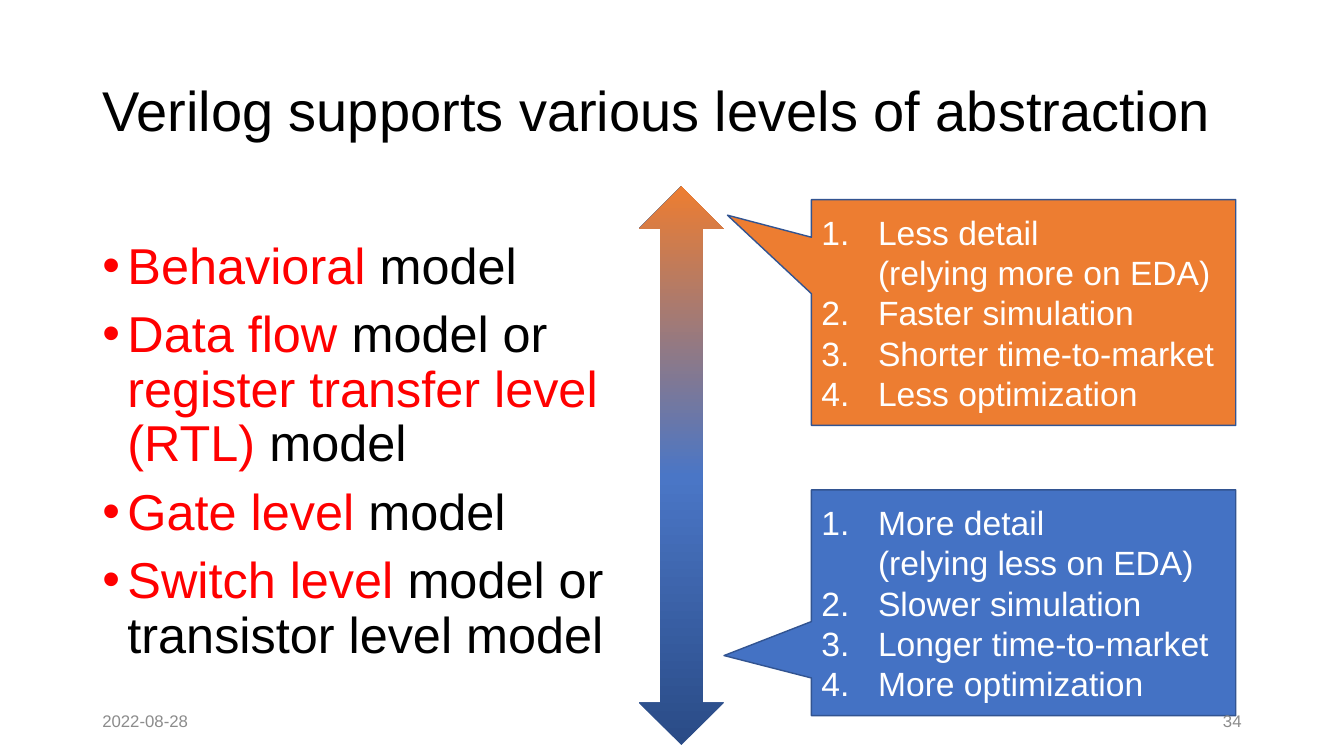
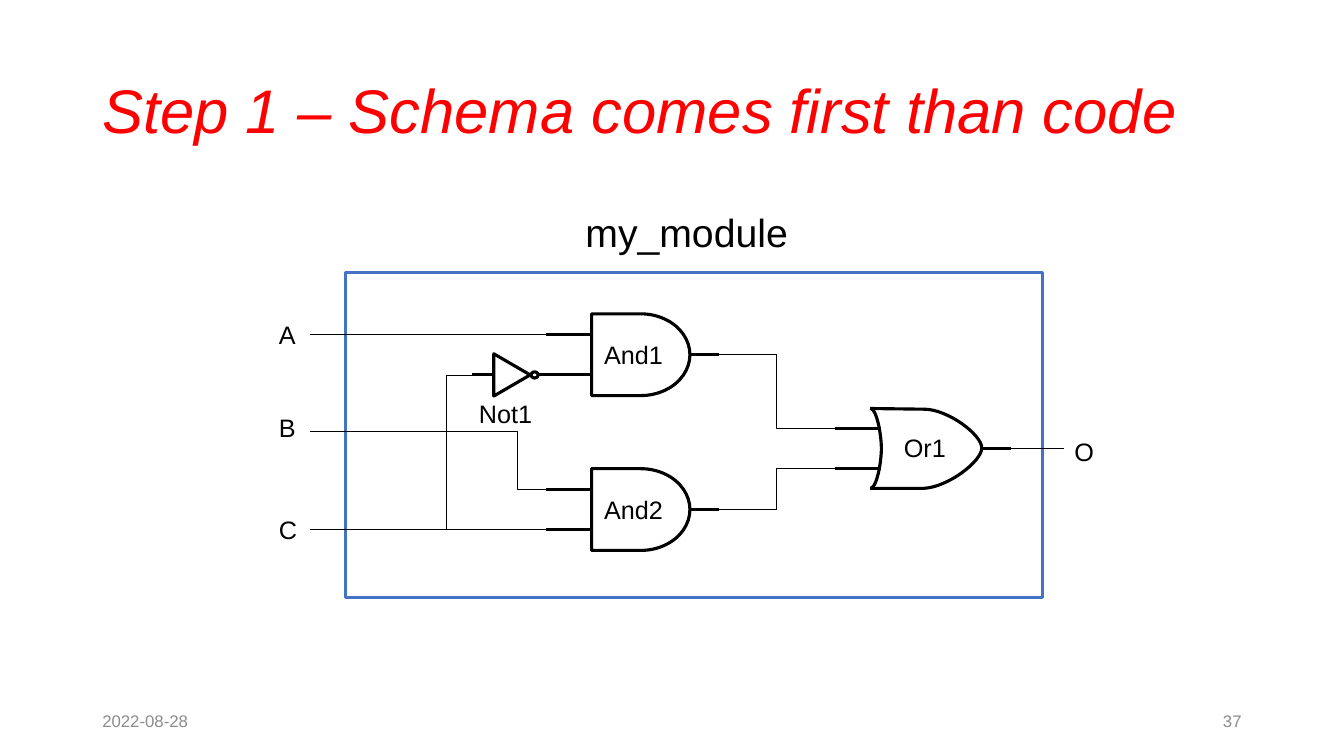
import copy

import lxml.etree
import pptx
import pptx.dml.color
import pptx.enum.shapes
import pptx.enum.text
import pptx.oxml.ns
import pptx.util

Pt = pptx.util.Pt
SHAPE = pptx.enum.shapes.MSO_SHAPE
LINK = pptx.enum.shapes.MSO_CONNECTOR
ALIGN = pptx.enum.text.PP_ALIGN
ANCHOR = pptx.enum.text.MSO_ANCHOR
FIT = pptx.enum.text.MSO_AUTO_SIZE
qn = pptx.oxml.ns.qn

COLOURS = {
    "black": "000000",
    "white": "FFFFFF",
    "red": "FF0000",
    "grey": "8C8C8C",
    "orange": "ED7D31",
    "blue": "4472C4",
    "blue_edge": "325491",
    "blue_mid": "4A76C6",
    "blue_dark": "2A4B86",
}
FONT = "Arial"
DATE = "2022-08-28"
BOLD_LINE, THIN_LINE = 2.25, 0.5


def rgb(name):
    return pptx.dml.color.RGBColor.from_string(COLOURS[name])


def bezier(start, first, second, end, steps=16):
    """Points along a cubic curve, without its start."""
    points = []
    for step in range(1, steps + 1):
        t = step / steps
        weights = ((1 - t) ** 3, 3 * t * (1 - t) ** 2, 3 * t * t * (1 - t), t ** 3)
        corners = (start, first, second, end)
        points.append(tuple(sum(w * c[axis] for w, c in zip(weights, corners))
                            for axis in (0, 1)))
    return points


class Painter:
    """Holds the deck, the current slide and the shared style."""

    def __init__(self):
        self.deck = pptx.Presentation()
        self.deck.slide_width, self.deck.slide_height = Pt(960), Pt(540)
        self.page = None

    def new_page(self, title, size, colour="black", italic=False):
        self.page = self.deck.slides.add_slide(self.deck.slide_layouts[6])
        box = self.text(66, 28.8, 828, 104.4, [[(title, colour)]], size,
                        anchor=ANCHOR.MIDDLE, spacing=0.9)
        box.text_frame.paragraphs[0].runs[0].font.italic = italic

    def footer(self, number):
        for left, words, align in ((66, DATE, ALIGN.LEFT), (678, number, ALIGN.RIGHT)):
            self.text(left, 500.4, 216, 28.8, [[(words, "grey")]], 12,
                      align=align, anchor=ANCHOR.MIDDLE)

    def set_text(self, frame, paragraphs, size, align=ALIGN.LEFT, anchor=ANCHOR.TOP,
                 spacing=None, before=0, bullet=None, indent=0):
        """Each paragraph is a list of (text, colour); "\\n" breaks the line."""
        frame.vertical_anchor = anchor
        for index, spans in enumerate(paragraphs):
            para = frame.add_paragraph() if index else frame.paragraphs[0]
            para.alignment = align
            if spacing:
                para.line_spacing = spacing
            if before and index:
                para.space_before = Pt(before)
            if bullet:
                self.bullet(para, bullet, indent)
            for words, colour in spans:
                if words == "\n":
                    para.add_line_break()
                    continue
                span = para.add_run()
                span.text = words
                span.font.name, span.font.size = FONT, Pt(size)
                span.font.color.rgb = rgb(colour)

    def bullet(self, para, bullet, indent):
        props = para._p.get_or_add_pPr()
        props.set("marL", str(Pt(indent)))
        props.set("indent", str(-Pt(indent)))
        lxml.etree.SubElement(props, qn("a:buFont")).set("typeface", FONT)
        if bullet == "1.":
            lxml.etree.SubElement(props, qn("a:buAutoNum")).set("type", "arabicPeriod")
        else:
            lxml.etree.SubElement(props, qn("a:buChar")).set("char", bullet)

    def text(self, left, top, width, height, paragraphs, size, **style):
        box = self.page.shapes.add_textbox(Pt(left), Pt(top), Pt(width), Pt(height))
        box.text_frame.word_wrap = True
        self.set_text(box.text_frame, paragraphs, size, **style)
        return box

    def label(self, left, top, width, height, words, size=18, align=ALIGN.LEFT):
        box = self.text(left, top, width, height, [[(words, "black")]], size, align=align)
        box.text_frame.word_wrap = align == ALIGN.CENTER
        box.text_frame.auto_size = FIT.SHAPE_TO_FIT_TEXT

    def style(self, shape, fill=None, line=None, weight=BOLD_LINE):
        shape.shadow.inherit = False
        if fill:
            shape.fill.solid()
            shape.fill.fore_color.rgb = rgb(fill)
        else:
            shape.fill.background()
        if line:
            shape.line.color.rgb, shape.line.width = rgb(line), Pt(weight)
        else:
            shape.line.fill.background()

    def shape(self, kind, left, top, width, height, **style):
        shape = self.page.shapes.add_shape(kind, Pt(left), Pt(top), Pt(width), Pt(height))
        self.style(shape, **style)
        return shape

    def gradient(self, shape, stops):
        """Paint from bottom to top with (position, colour) stops."""
        shape.fill.gradient()
        shape.fill.gradient_angle = 90
        first = next(shape._element.iter(qn("a:gs")))
        for _ in stops[2:]:
            first.addnext(copy.deepcopy(first))
        for stop, (position, colour) in zip(shape.fill.gradient_stops, stops):
            stop.position = position
            stop.color.rgb = rgb(colour)

    def callout(self, top, fill, tip, paragraphs):
        shape = self.shape(SHAPE.RECTANGULAR_CALLOUT, 579.6, top, 303.1, 161.3,
                           fill=fill, line="blue_edge", weight=1)
        shape.adjustments[0], shape.adjustments[1] = tip
        spans = [[(words, "white") for words in lines] for lines in paragraphs]
        self.set_text(shape.text_frame, spans, 24, anchor=ANCHOR.MIDDLE,
                      bullet="1.", indent=40.5)

    def wire(self, x1, y1, x2, y2, weight=THIN_LINE, kind=LINK.STRAIGHT):
        wire = self.page.shapes.add_connector(kind, Pt(x1), Pt(y1), Pt(x2), Pt(y2))
        wire.line.color.rgb, wire.line.width = rgb("black"), Pt(weight)
        lxml.etree.SubElement(wire._element.spPr, qn("a:effectLst"))
        return wire

    def outline(self, points):
        start, *rest = [(Pt(x), Pt(y)) for x, y in points]
        builder = self.page.shapes.build_freeform(*start, scale=1.0)
        builder.add_line_segments(rest, close=False)
        self.style(builder.convert_to_shape(), line="black")

    def leads(self, inputs, output, middle):
        """Two input leads and one output lead; returns the output lead."""
        for y in (middle - PIN, middle + PIN):
            self.wire(inputs[0], y, inputs[1], y, BOLD_LINE)
        return self.wire(output[0], middle, output[1], middle, BOLD_LINE)

    def and_gate(self, name, middle):
        output = self.leads((AND_IN, 422.6), (492.8, AND_OUT), middle)
        gate = self.shape(SHAPE.FLOWCHART_DELAY, 422.6, middle - 29.2, 70.2, 58.4,
                          line="black")
        self.set_text(gate.text_frame, [[(name, "black")]], 18,
                      align=ALIGN.CENTER, anchor=ANCHOR.MIDDLE)
        output.begin_connect(gate, 3)

    def or_gate(self, name, middle):
        self.leads((OR_IN, 629.3), (701.3, OR_OUT), middle)
        back, bend, tip = 621.6, 660.2, 701.3
        top, bottom = middle - 28.6, middle + 28.4
        upper, lower = (bend, top + 0.5), (bend, bottom)
        nose = (tip, middle - 0.4)
        self.outline([(back, top), upper]
                     + bezier(upper, (676.8, top + 0.5), (tip, middle - 10), nose)
                     + bezier(nose, (tip, middle + 9), (677.5, bottom - 1), lower)
                     + [(back, bottom)])
        inner = (629.6, middle)
        self.outline([(back, bottom)]
                     + bezier((back, bottom), (626.4, bottom), (629.6, middle + 9.4), inner)
                     + bezier(inner, (629.6, middle - 9.4), (626.4, top), (back, top)))
        self.label(628.6, middle - 15.2, 64.1, 28.8, name, align=ALIGN.CENTER)

    def not_gate(self, name, middle):
        self.wire(337, middle, 353.5, middle, BOLD_LINE)
        self.wire(383.8, middle, 394.6, middle, BOLD_LINE)
        self.shape(SHAPE.OVAL, 379.4, middle - 2.2, 5, 4.4, line="black")
        body = self.shape(SHAPE.ISOSCELES_TRIANGLE, 350.6, middle - 13, 30.2, 26,
                          line="black")
        body.rotation = 90
        self.label(329, middle + 13, 64.1, 28.8, name, align=ALIGN.CENTER)


# Circuit grid
PIN = 14.4
AND_IN, AND_OUT = 390.2, 513.4
OR_IN, OR_OUT = 596.2, 722.2
AND1_Y, AND2_Y, OR_Y = 253.4, 364, 320.4
A_Y, B_Y, C_Y = AND1_Y - PIN, 308.2, AND2_Y + PIN
NOT_Y = AND1_Y + PIN


def abstraction_page(painter):
    painter.new_page("Verilog supports various levels of abstraction", 40)
    # Models
    models = [
        [("Behavioral", "red"), (" model", "black")],
        [("Data flow", "red"), (" model or ", "black"),
         ("register transfer level (RTL)", "red"), (" model", "black")],
        [("Gate level ", "red"), ("model", "black")],
        [("Switch level", "red"), (" model or transistor level model", "black")],
    ]
    painter.text(66, 168.5, 384.5, 347.8, models, 36, spacing=0.9, before=10,
                 bullet="•", indent=18)
    # Scale from detailed to abstract
    arrow = painter.shape(SHAPE.UP_DOWN_ARROW, 456.5, 133.2, 60.5, 398.9)
    painter.gradient(arrow, [(0, "blue_dark"), (0.48, "blue_mid"), (1, "orange")])
    # Trade-offs at both ends
    painter.callout(142.6, "orange", (-0.698, -0.431), [
        ["Less detail ", "\n", "(relying more on EDA)"], ["Faster simulation"],
        ["Shorter time-to-market"], ["Less optimization"]])
    painter.callout(349.9, "blue", (-0.706, 0.234), [
        ["More detail ", "\n", "(relying less on EDA)"], ["Slower simulation"],
        ["Longer time-to-market"], ["More optimization"]])
    painter.footer("34")


def schema_page(painter):
    painter.new_page("Step 1 – Schema comes first than code", 44, "red", italic=True)
    # Gates
    painter.and_gate("And1", AND1_Y)
    painter.and_gate("And2", AND2_Y)
    painter.or_gate("Or1", OR_Y)
    painter.not_gate("Not1", NOT_Y)
    # Module frame
    painter.shape(SHAPE.RECTANGLE, 247, 194.4, 497.5, 232.6, line="blue")
    painter.label(411.1, 145.4, 161.3, 41, "my_module", 28)
    # Wires
    for y, end in ((A_Y, AND_IN), (B_Y, 344.9), (C_Y, AND_IN)):
        painter.wire(221.8, y, end, y)
    painter.wire(319, C_Y, 319, NOT_Y)
    painter.wire(319, NOT_Y, 342.7, NOT_Y)
    painter.wire(706.3, OR_Y, 760.3, OR_Y)
    for ends in ((AND_OUT, AND1_Y, OR_IN, OR_Y - PIN),
                 (AND_OUT, AND2_Y, OR_IN, OR_Y + PIN),
                 (344.9, B_Y, 394.6, AND2_Y - PIN)):
        painter.wire(*ends, kind=LINK.ELBOW)
    # Ports
    for name, left, top in (("A", 192.2, 224.6), ("B", 192.2, 290.9),
                            ("C", 192.2, 363.6), ("O", 760.3, 308.2)):
        painter.label(left, top, 27, 28.8, name)
    painter.footer("37")


def main():
    painter = Painter()
    abstraction_page(painter)
    schema_page(painter)
    painter.deck.save("out.pptx")


if __name__ == "__main__":
    main()
